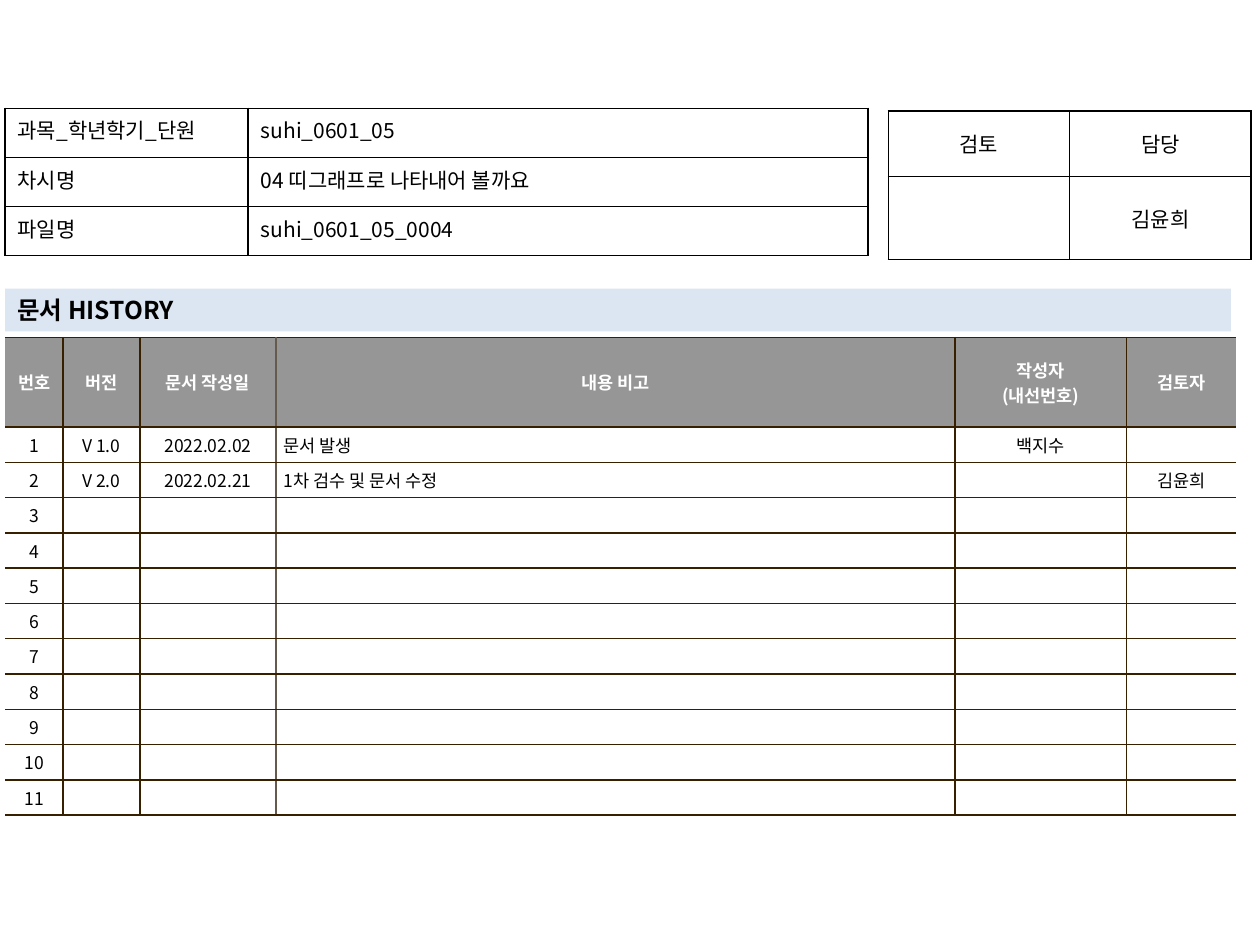
from copy import deepcopy

from lxml.etree import SubElement
from pptx import Presentation
from pptx.dml.color import RGBColor
from pptx.enum.shapes import MSO_SHAPE as Shape
from pptx.enum.text import MSO_ANCHOR as Anchor, MSO_AUTO_SIZE as Auto, PP_ALIGN as Align
from pptx.oxml.ns import qn
from pptx.util import Inches, Pt

FACE = "Noto Sans CJK KR"
BLACK, WHITE, GRAY, BROWN, TAN, BLUE = "000000", "FFFFFF", "969696", "362000", "645B4C", "DCE6F2"


def paint(fill, color):
    fill.solid()
    fill.fore_color.rgb = RGBColor.from_string(color)


def style(para, size, color=BLACK, bold=False, align=Align.LEFT):
    para.alignment = align
    font = para.font
    font.size, font.bold, font.name = Pt(size), bold, FACE
    paint(font.fill, color)
    props = font._element
    SubElement(props, qn("a:ea"), typeface=FACE)
    if not para.runs:
        end = SubElement(para._p, qn("a:endParaRPr"), dict(props.attrib))
        end.extend(deepcopy(list(props)))


def edge(cell, side, color):
    line = SubElement(cell._tc.get_or_add_tcPr(), qn("a:ln" + side), w=str(Pt(1)))
    if color:
        fill = SubElement(line, qn("a:solidFill"))
        SubElement(fill, qn("a:srgbClr"), val=color)
    else:
        SubElement(line, qn("a:noFill"))


def write(cell, text, size, color=BLACK, bold=False, align=Align.LEFT):
    cell.text = text
    for para in cell.text_frame.paragraphs:
        style(para, size, color, bold, align)


def add_grid(slide, left, top, cols, rows):
    frame = slide.shapes.add_table(len(rows), len(cols), Inches(left), Inches(top),
                                   Inches(sum(cols)), Inches(sum(rows)))
    grid = frame.table
    grid.first_row = grid.horz_banding = False
    for col, width in zip(grid.columns, cols):
        col.width = Inches(width)
    for row, height in zip(grid.rows, rows):
        row.height = Inches(height)
    return grid


def add_form(slide, left, top, cols, rows, texts, aligns, anchor):
    grid = add_grid(slide, left, top, cols, rows)
    for r, line in enumerate(texts):
        for c, text in enumerate(line):
            cell = grid.cell(r, c)
            for side in "LRTB":
                edge(cell, side, BLACK)
            cell.fill.background()
            cell.vertical_anchor = anchor
            write(cell, text, 12, align=aligns[c])


def add_log(slide):
    heads = ["번호", "버전", "문서 작성일", "내용 비고", "작성자\n(내선번호)", "검토자"]
    notes = [["V 1.0", "2022.02.02", "문서 발생", "백지수", ""],
             ["V 2.0", "2022.02.21", "1차 검수 및 문서 수정", "", "김윤희"]]
    count = 11
    notes += [[""] * 5] * (count - len(notes))
    lines = [heads] + [[str(n), *note] for n, note in enumerate(notes, 1)]
    rules = [None, BROWN, BROWN, TAN, BROWN, BROWN, None]
    grid = add_grid(slide, 0.04, 2.68, [0.46, 0.61, 1.08, 5.39, 1.36, 0.87],
                    [0.71] + [0.25] * count)
    for r, line in enumerate(lines):
        head = r == 0
        for c, text in enumerate(line):
            cell = grid.cell(r, c)
            for side, color in zip("LRTB", (rules[c], rules[c + 1], BROWN, BROWN)):
                edge(cell, side, color)
            paint(cell.fill, GRAY if head else WHITE)
            cell.vertical_anchor = Anchor.MIDDLE
            cell.margin_left = cell.margin_right = Inches(0.06)
            cell.margin_top = cell.margin_bottom = Inches(0.04)
            align = Align.LEFT if c == 3 and not head else Align.CENTER
            write(cell, text, 10, WHITE if head else BLACK, head, align)


def add_title(slide):
    bar = slide.shapes.add_shape(Shape.RECTANGLE, Inches(0.04), Inches(2.29),
                                 Inches(9.73), Inches(0.34))
    bar.shadow.inherit = False
    paint(bar.fill, BLUE)
    bar.line.fill.background()
    frame = bar.text_frame
    frame.word_wrap = True
    frame.auto_size = Auto.SHAPE_TO_FIT_TEXT
    frame.vertical_anchor = Anchor.TOP
    frame.text = "문서 HISTORY"
    style(frame.paragraphs[0], 14, bold=True)


def main():
    deck = Presentation()
    deck.slide_width, deck.slide_height = Inches(10), Inches(7.5)
    slide = deck.slides.add_slide(deck.slide_layouts[6])
    add_log(slide)
    add_form(slide, 7.05, 0.88, [1.44, 1.44], [0.52, 0.66],
             [["검토", "담당"], ["", "김윤희"]], [Align.CENTER] * 2, Anchor.MIDDLE)
    add_title(slide)
    add_form(slide, 0.04, 0.86, [1.93, 4.92], [0.39] * 3,
             [["과목_학년학기_단원", "suhi_0601_05"],
              ["차시명", "04 띠그래프로 나타내어 볼까요"],
              ["파일명", "suhi_0601_05_0004"]],
             [Align.JUSTIFY, Align.LEFT], Anchor.TOP)
    deck.save("out.pptx")


if __name__ == "__main__":
    main()
